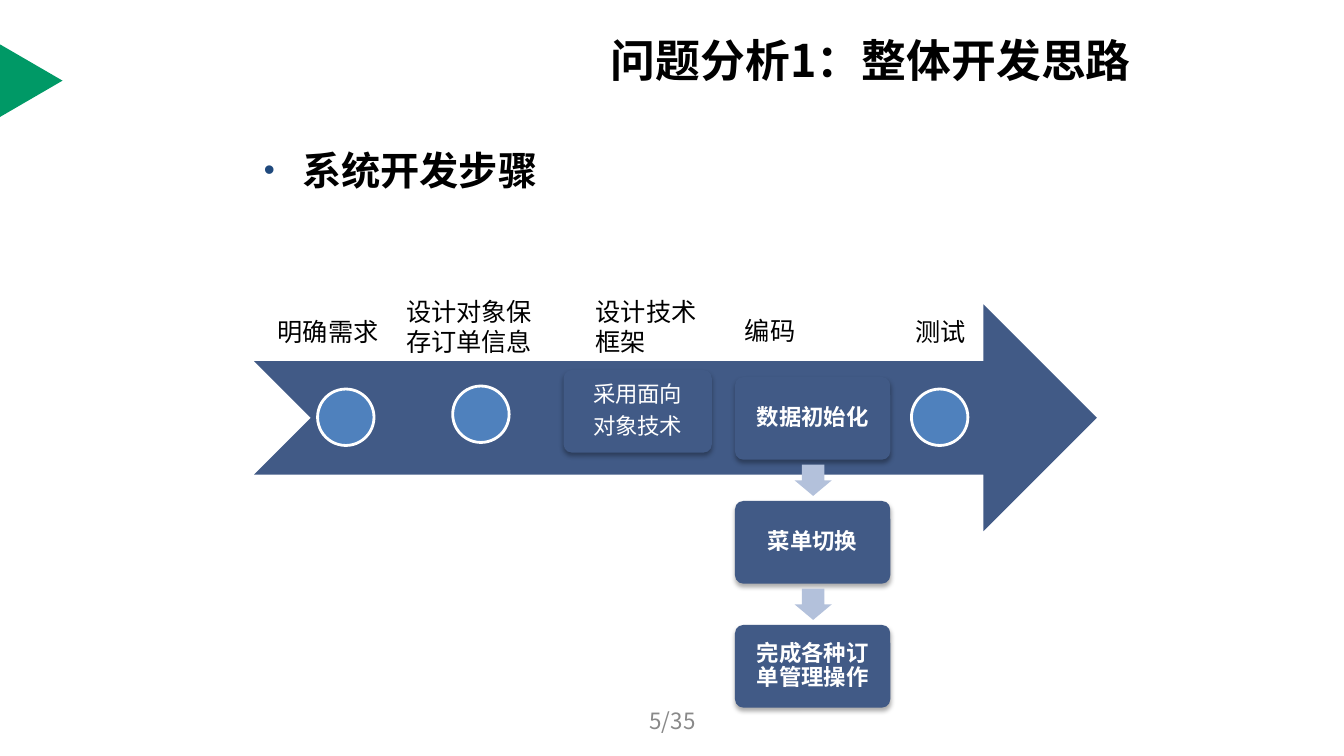
from dataclasses import dataclass

from pptx import Presentation
from pptx import util as u
from pptx.dml.color import RGBColor
from pptx.enum import shapes, text
from pptx.oxml import parse_xml
from pptx.oxml.ns import nsdecls

NAVY, BLUE, PALE, WHITE, BLACK = "415A86", "4F81BD", "B3C1DB", "FFFFFF", "000000"
LATIN, CJK = "Arial", "Noto Sans CJK SC"
SHAPE, ALIGN, ANCHOR = shapes.MSO_SHAPE, text.PP_ALIGN, text.MSO_ANCHOR


@dataclass
class Box:
    left: float
    top: float
    width: float
    height: float

    def lengths(self) -> list:
        return [u.Inches(v) for v in (self.left, self.top, self.width, self.height)]


@dataclass
class Style:
    size: float
    bold: bool = False
    color: str = BLACK
    font: str = LATIN
    align: ALIGN = ALIGN.LEFT
    anchor: ANCHOR = ANCHOR.MIDDLE
    inset: float | None = None
    spacing: float | None = None
    after: float = 0


@dataclass
class Label:
    box: Box
    lines: list[str]
    style: Style


@dataclass
class Step:
    box: Box
    lines: list[str]
    bold: bool = True


def rgb(color: str) -> RGBColor:
    return RGBColor.from_string(color)


def write(sp, lines: list[str], style: Style) -> None:
    tf = sp.text_frame
    tf.word_wrap = True
    tf.auto_size = text.MSO_AUTO_SIZE.NONE
    tf.vertical_anchor = style.anchor
    if style.inset is not None:
        tf.margin_left = tf.margin_right = u.Inches(style.inset)
        tf.margin_top = tf.margin_bottom = u.Inches(style.inset)
    for i, line in enumerate(lines):
        p = tf.add_paragraph() if i else tf.paragraphs[0]
        p.alignment = style.align
        if style.spacing:
            p.line_spacing = style.spacing
        p.space_after = u.Pt(style.after)
        r = p.add_run()
        r.text = line
        r.font.name, r.font.size, r.font.bold = style.font, u.Pt(style.size), style.bold
        r.font.color.rgb = rgb(style.color)


def add_label(label: Label):
    sp = s.shapes.add_textbox(*label.box.lengths())
    write(sp, label.lines, label.style)
    return sp


def add_figure(kind: SHAPE, box: Box, fill: str, line: str | None = None, rotation: float = 0):
    sp = s.shapes.add_shape(kind, *box.lengths())
    sp.shadow.inherit = False
    sp.rotation = rotation
    sp.fill.solid()
    sp.fill.fore_color.rgb = rgb(fill)
    if line:
        sp.line.color.rgb = rgb(line)
        sp.line.width = u.Pt(2)
    else:
        sp.line.fill.background()
    return sp


def add_step(step: Step) -> None:
    sp = add_figure(SHAPE.ROUNDED_RECTANGLE, step.box, NAVY)
    sp.adjustments[0] = 0.1
    effects = sp._element.spPr.find("{*}effectLst")
    effects.append(parse_xml(
        f'<a:outerShdw {nsdecls("a")} blurRad="{u.Pt(3.5)}" dist="{u.Pt(2.2)}" '
        'dir="5400000" rotWithShape="0"><a:srgbClr val="000000">'
        '<a:alpha val="32000"/></a:srgbClr></a:outerShdw>'))
    write(sp, step.lines, Style(16, step.bold, WHITE, align=ALIGN.CENTER,
                                inset=0.09, spacing=0.9, after=5.6))


def add_bullet(sp) -> None:
    pPr = sp.text_frame.paragraphs[0]._p.get_or_add_pPr()
    pPr.set("marL", str(u.Inches(0.38)))
    pPr.set("indent", str(u.Inches(-0.38)))
    for tag in ('<a:buClr {}><a:srgbClr val="1F497D"/></a:buClr>',
                '<a:buSzPct {} val="80000"/>',
                '<a:buFont {} typeface="Arial"/>',
                '<a:buChar {} char="•"/>'):
        pPr.append(parse_xml(tag.format(nsdecls("a"))))


prs = Presentation()
prs.slide_width, prs.slide_height = u.Inches(13.33), u.Inches(7.5)
s = prs.slides.add_slide(prs.slide_layouts[5])

title = s.shapes.title
title.left, title.top, title.width, title.height = Box(5.96, 0.31, 5.51, 0.57).lengths()
write(title, ["问题分析1：整体开发思路"], Style(32, True, font=CJK))

add_figure(SHAPE.ISOSCELES_TRIANGLE, Box(-0.05, 0.49, 0.72, 0.62), "009966", rotation=90)
add_bullet(add_label(Label(Box(2.52, 1.4, 8.36, 5.48), ["系统开发步骤"],
                           Style(28, True, anchor=ANCHOR.TOP))))

add_figure(SHAPE.NOTCHED_RIGHT_ARROW, Box(2.52, 3.02, 8.36, 2.25), NAVY)
for left, top in ((3.15, 3.86), (4.49, 3.83), (9.04, 3.86)):
    add_figure(SHAPE.OVAL, Box(left, top, 0.56, 0.56), BLUE, WHITE)

STEP_LEFT, STEP_TOP, STEP_W, STEP_H, PITCH = 7.29, 3.74, 1.54, 0.82, 1.23
coding = ["数据初始化", "菜单切换", "完成各种订单管理操作"]
for i, name in enumerate(coding):
    top = STEP_TOP + i * PITCH
    add_step(Step(Box(STEP_LEFT, top, STEP_W, STEP_H), [name]))
    if i < len(coding) - 1:
        arrow = add_figure(SHAPE.RIGHT_ARROW, Box(7.91, top + 0.84, 0.31, 0.37), PALE, rotation=90)
        arrow.adjustments[0] = 0.6
add_step(Step(Box(5.59, 3.67, 1.47, STEP_H), ["采用面向", "对象技术"], bold=False))

stage = Style(18, align=ALIGN.CENTER, anchor=ANCHOR.BOTTOM, inset=0.14, spacing=0.9)
heading = Style(18, anchor=ANCHOR.BOTTOM)
for label in (
    Label(Box(2.53, 1.33, 1.45, 2.25), ["明确需求"], stage),
    Label(Box(8.6, 1.33, 1.45, 2.25), ["测试"], stage),
    Label(Box(3.93, 2.97, 1.64, 0.62), ["设计对象保存订单信息"], heading),
    Label(Box(5.81, 2.97, 1.25, 0.62), ["设计技术", "框架"], heading),
    Label(Box(7.29, 2.97, 1.25, 0.62), ["编码"], Style(18)),
    Label(Box(4.56, 6.95, 4.22, 0.4), ["5/35"],
          Style(16, color="898989", font=CJK, align=ALIGN.CENTER)),
):
    add_label(label)

prs.save("out.pptx")
